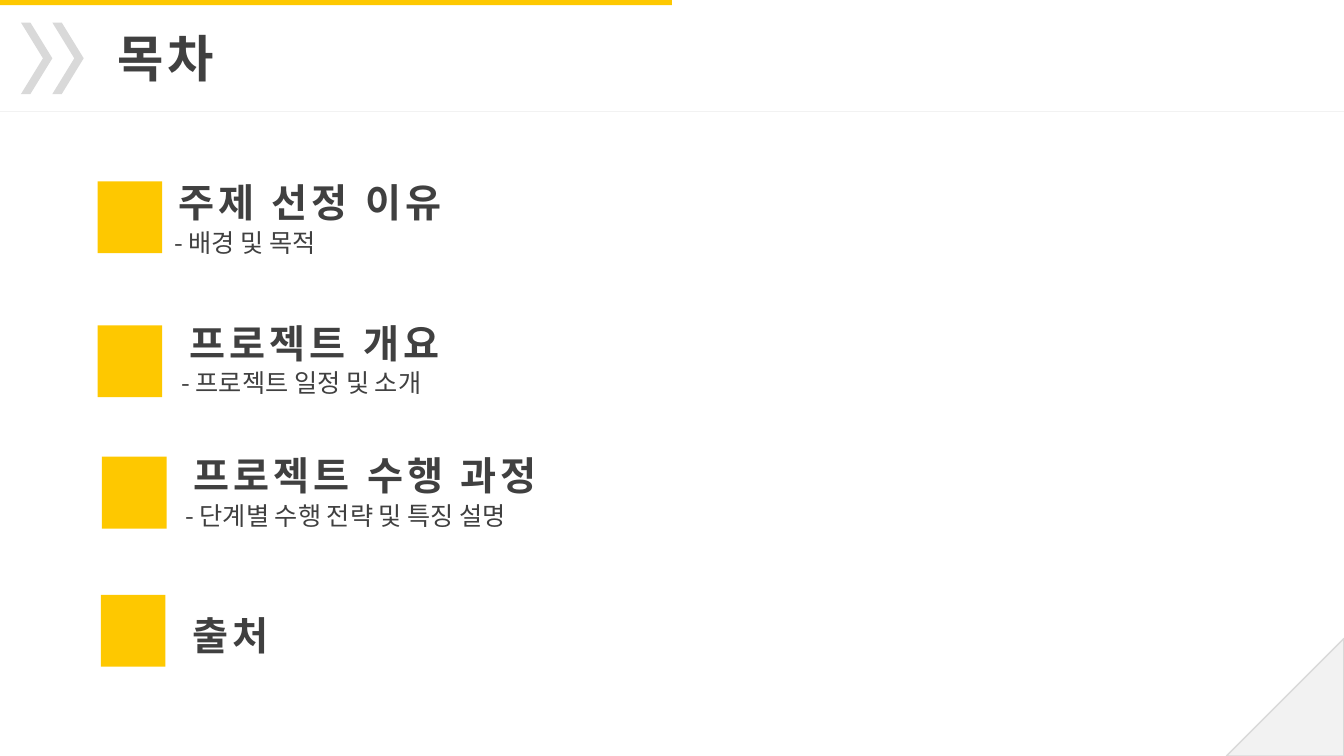
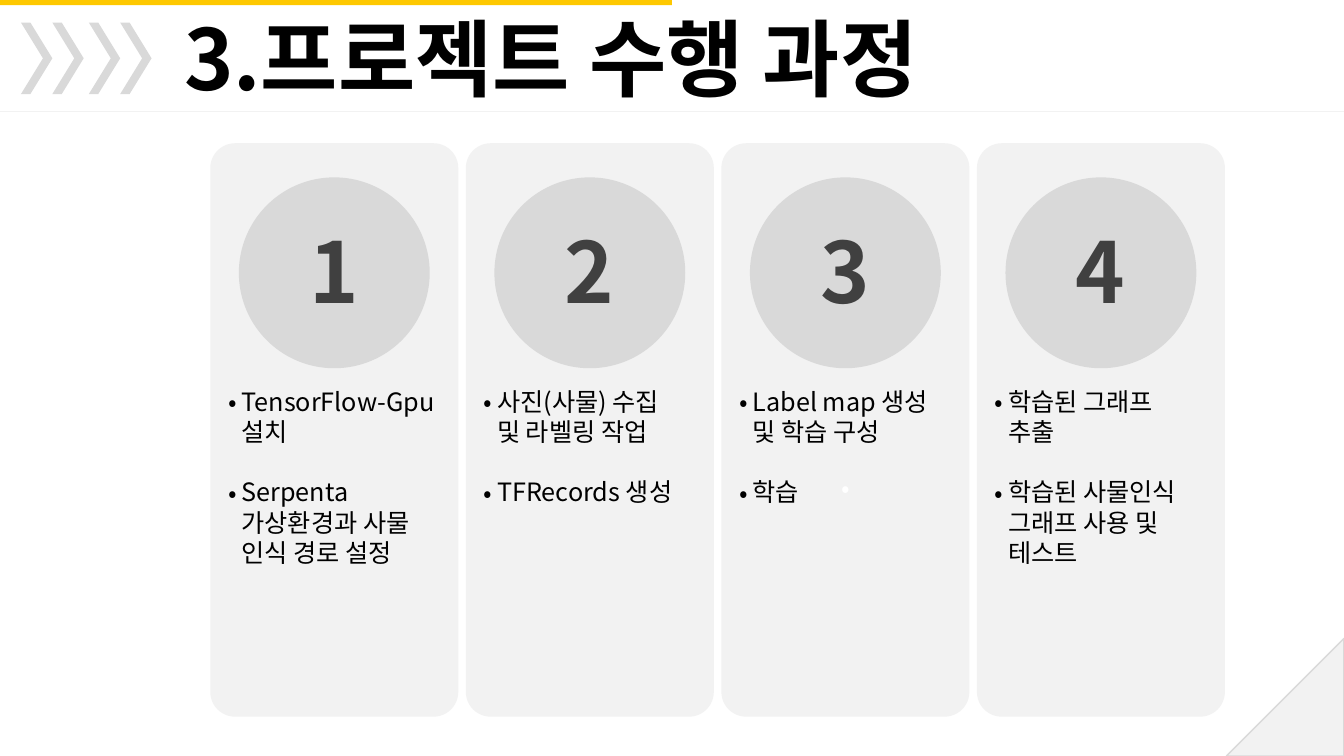
from dataclasses import dataclass

import pptx
import pptx.dml.color
import pptx.enum.shapes
import pptx.enum.text
import pptx.oxml.ns
import pptx.util
from lxml import etree
from pptx.util import Cm

YELLOW, DARK, BLACK, WHITE = "FEC800", "404040", "000000", "FFFFFF"
PALE, GREY = "F2F2F2", "D9D9D9"
FONT = "Noto Sans CJK KR"
SLIDE_W, SLIDE_H = 33.87, 19.05

SHAPE = pptx.enum.shapes.MSO_SHAPE
ALIGN = pptx.enum.text.PP_ALIGN
ANCHOR = pptx.enum.text.MSO_ANCHOR
qn = pptx.oxml.ns.qn

# Text styles
TITLE = {"size": pptx.util.Pt(36), "bold": True, "color": DARK, "spc": 300}
HEAD = {"size": pptx.util.Pt(28), "bold": True, "color": DARK, "spc": 300}
SUB = {"size": pptx.util.Pt(18), "color": DARK}
BODY = {"size": pptx.util.Pt(18), "color": BLACK}
BIG = {"size": pptx.util.Pt(60), "bold": True, "color": BLACK}
NUMBER = {**BIG, "color": DARK}
DOT = {**BODY, "color": WHITE}


@dataclass
class Topic:
    square: tuple[float, float]
    head_at: tuple[float, float]
    head: str
    sub_at: tuple[float, float] = (0, 0)
    sub: str = ""


@dataclass
class Card:
    bullets: list[str]
    dot: bool = False


TOPICS = [
    Topic((2.46, 4.57), (4.24, 4.37), "주제 선정 이유", (4.14, 5.6), "- 배경 및 목적"),
    Topic((2.46, 8.2), (4.52, 7.92), "프로젝트 개요", (4.32, 9.12), "- 프로젝트 일정 및 소개"),
    Topic((2.57, 11.51), (4.62, 11.24), "프로젝트 수행 과정", (4.42, 12.48),
          "- 단계별 수행 전략 및 특징 설명"),
    Topic((2.54, 14.99), (4.6, 15.29), "출처"),
]

# A vertical tab is a line break inside a bullet
CARDS = [
    Card(["TensorFlow-Gpu\v설치", "Serpenta\v가상환경과 사물\v인식 경로 설정"]),
    Card(["사진(사물) 수집\v및 라벨링 작업", "TFRecords 생성"]),
    Card(["Label map 생성\v및 학습 구성", "학습"], dot=True),
    Card(["학습된 그래프\v추출", "학습된 사물인식\v그래프 사용 및\v테스트"]),
]


def rgb(color: str) -> pptx.dml.color.RGBColor:
    return pptx.dml.color.RGBColor.from_string(color)


def add_shape(shapes, kind, x: float, y: float, w: float, h: float, fill: str, line: str = ""):
    sp = shapes.add_shape(kind, Cm(x), Cm(y), Cm(w), Cm(h))
    sp.shadow.inherit = False
    sp.fill.solid()
    sp.fill.fore_color.rgb = rgb(fill)
    if line:
        sp.line.color.rgb = rgb(line)
        sp.line.width = pptx.util.Pt(1)
    else:
        sp.line.fill.background()
    return sp


def write(p, text: str, style: dict, align=ALIGN.LEFT) -> None:
    p.text = text
    p.alignment = align
    for r in p.runs:
        r.font.name = FONT
        for name, value in style.items():
            if name == "color":
                r.font.color.rgb = rgb(value)
            elif name == "spc":
                r.font._element.set("spc", str(value))
            else:
                setattr(r.font, name, value)
        ea = etree.SubElement(r.font._element, qn("a:ea"))
        ea.set("typeface", FONT)


def add_text(s, x: float, y: float, w: float, h: float, text: str, style: dict,
             align=ALIGN.LEFT, wrap: bool = True) -> None:
    tf = s.shapes.add_textbox(Cm(x), Cm(y), Cm(w), Cm(h)).text_frame
    tf.word_wrap = wrap
    write(tf.paragraphs[0], text, style, align)


def add_bullets(s, x: float, y: float, w: float, h: float, bullets: list[str]) -> None:
    tf = s.shapes.add_textbox(Cm(x), Cm(y), Cm(w), Cm(h)).text_frame
    tf.word_wrap = True
    for i, text in enumerate(bullets):
        p = tf.add_paragraph() if i else tf.paragraphs[0]
        pr = p._p.get_or_add_pPr()
        pr.set("marL", str(Cm(0.34)))
        pr.set("indent", str(-Cm(0.34)))
        etree.SubElement(pr, qn("a:buFont")).set("typeface", FONT)
        etree.SubElement(pr, qn("a:buChar")).set("char", "•")
        if i:
            p.space_before = pptx.util.Pt(21.6)
        write(p, text, BODY)


def add_chevrons(s, x: float) -> None:
    group = s.shapes.add_group_shape()
    for i in range(2):
        sp = add_shape(group.shapes, SHAPE.CHEVRON, x + i * 0.79, 0.57, 0.79, 1.8, GREY)
        sp.adjustments[0] = 0.7


def add_base(prs, chevron_pairs: int):
    """Add a slide with the corner, top band, rule and chevrons."""
    s = prs.slides.add_slide(prs.slide_layouts[6])
    corner = add_shape(s.shapes, SHAPE.RIGHT_TRIANGLE, SLIDE_W - 2.96, SLIDE_H - 2.96,
                       2.96, 2.96, PALE, GREY)
    corner._element.spPr.find(qn("a:xfrm")).set("flipH", "1")
    add_shape(s.shapes, SHAPE.RECTANGLE, 0, 0, SLIDE_W / 2, 0.13, YELLOW)
    rule = s.shapes.add_connector(pptx.enum.shapes.MSO_CONNECTOR.STRAIGHT,
                                  Cm(0), Cm(2.8), Cm(SLIDE_W), Cm(2.8))
    rule.line.color.rgb = rgb(PALE)
    rule.line.width = pptx.util.Pt(0.5)
    etree.SubElement(rule._element.spPr, qn("a:effectLst"))
    for i in range(chevron_pairs):
        add_chevrons(s, 0.53 + i * 1.71)
    return s


def add_contents(prs) -> None:
    s = add_base(prs, 1)
    add_text(s, 2.55, 0.56, 3.1, 1.8, "목차", TITLE, ALIGN.RIGHT, wrap=False)
    for t in TOPICS:
        add_shape(s.shapes, SHAPE.RECTANGLE, *t.square, 1.63, 1.81, YELLOW)
        add_text(s, *t.head_at, 11, 1.45, t.head, HEAD)
        if t.sub:
            add_text(s, *t.sub_at, 20.32, 1.02, t.sub, SUB, ALIGN.JUSTIFY)


def add_process(prs) -> None:
    s = add_base(prs, 2)
    add_text(s, 4.39, 0.05, 20.7, 2.82, "3.프로젝트 수행 과정", BIG)
    for i, card in enumerate(CARDS):
        x = 5.3 + i * 6.44
        sp = add_shape(s.shapes, SHAPE.ROUNDED_RECTANGLE, x, 3.61, 6.25, 14.45, PALE)
        sp.adjustments[0] = 0.1
        if card.dot:
            tf = sp.text_frame
            tf.vertical_anchor = ANCHOR.MIDDLE
            tf.margin_top, tf.margin_bottom = Cm(6.38), Cm(3.48)
            write(tf.paragraphs[0], "•", DOT, ALIGN.CENTER)
        add_shape(s.shapes, SHAPE.OVAL, x + 0.72, 4.47, 4.81, 4.81, GREY)
        add_text(s, x + 2.07, 5.41, 2.1, 2.82, str(i + 1), NUMBER, ALIGN.CENTER)
        add_bullets(s, x + 0.2, 9.6, 5.95, 4.88, card.bullets)


def main() -> None:
    prs = pptx.Presentation()
    prs.slide_width, prs.slide_height = Cm(SLIDE_W), Cm(SLIDE_H)
    add_contents(prs)
    add_process(prs)
    prs.save("out.pptx")


if __name__ == "__main__":
    main()
